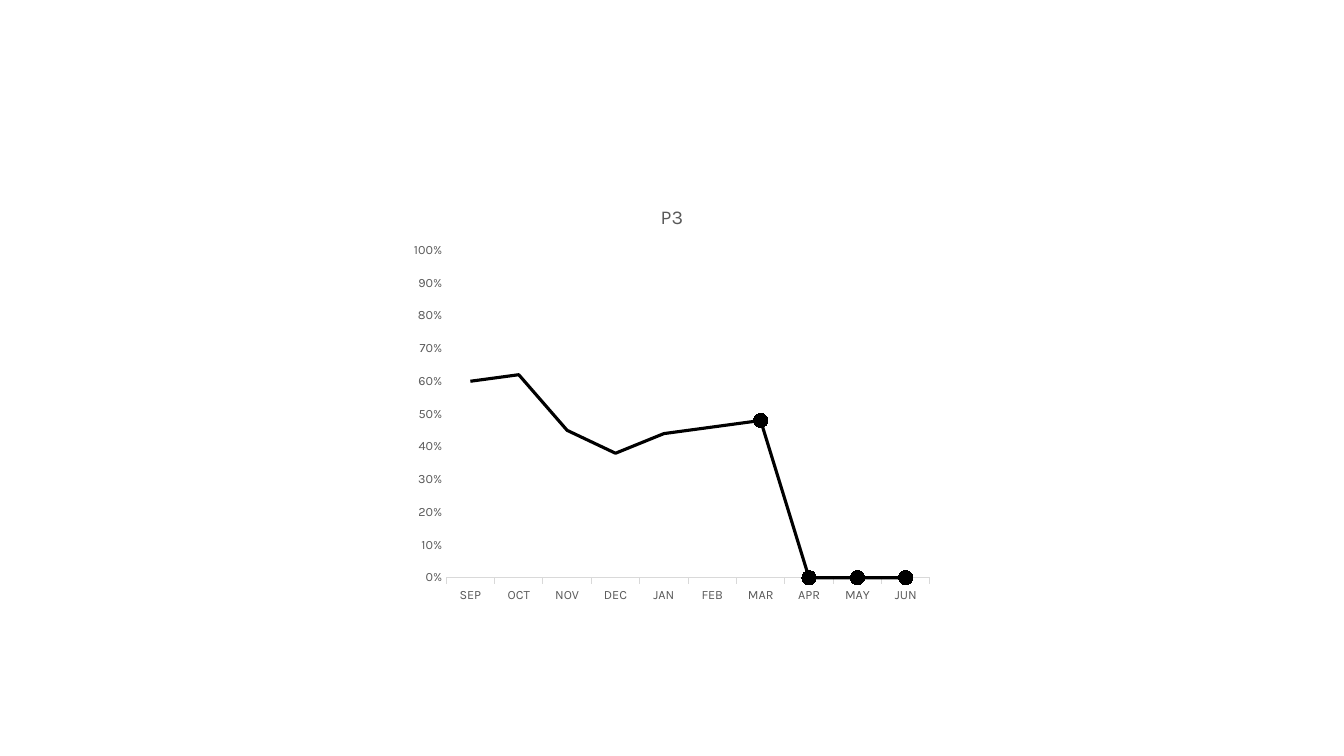
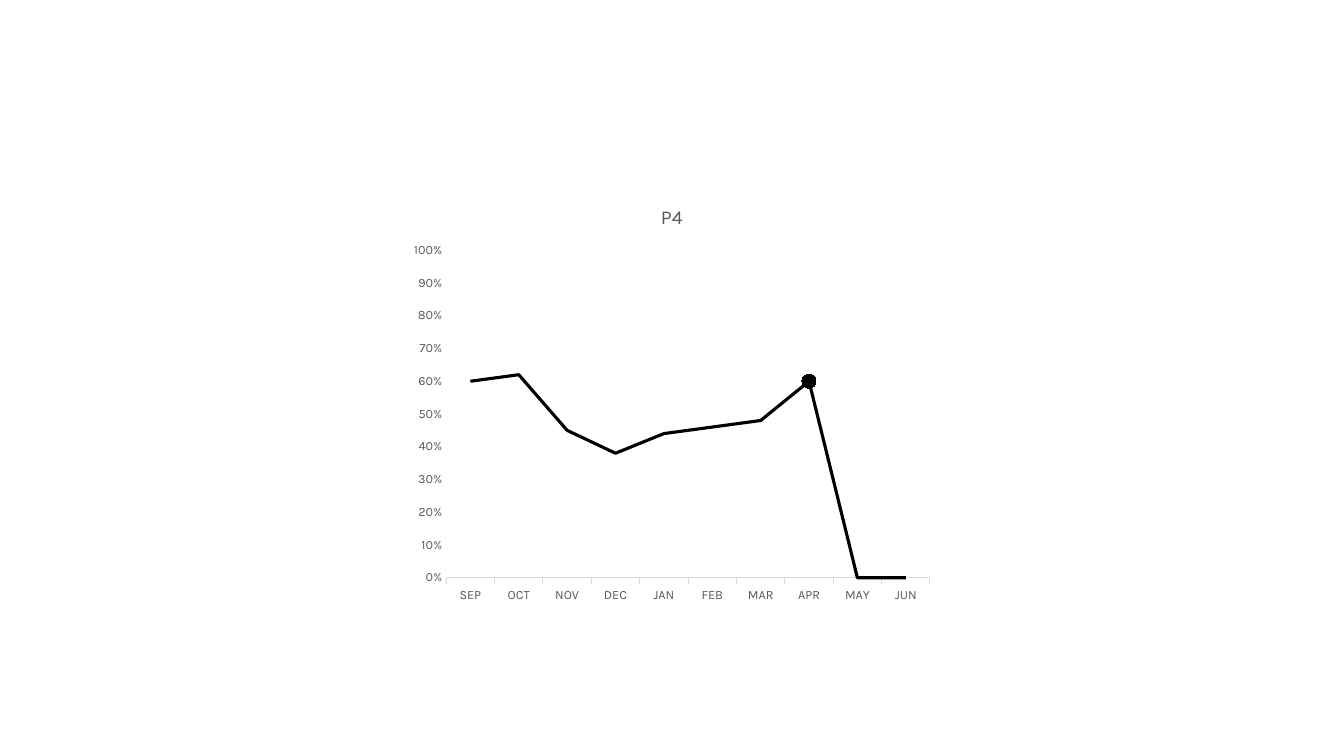
from lxml import etree
from pptx import Presentation
from pptx import util as u
from pptx.chart.data import CategoryChartData
from pptx.dml.color import RGBColor
from pptx.enum import chart as kinds
from pptx.oxml import ns

Pt = u.Pt
FONT, INK, GREY, RULE = "Karla", "000000", "595959", "D9D9D9"
MONTHS = ["SEP", "OCT", "NOV", "DEC", "JAN", "FEB", "MAR", "APR", "MAY", "JUN"]
RATES = [0.6, 0.62, 0.45, 0.38, 0.44, 0.46, 0.48, 0.6]
PERIODS = [
    {"title": "P3", "known": 7, "marked": ["MAR", "APR", "MAY", "JUN"]},
    {"title": "P4", "known": 8, "marked": ["APR"]},
]
CHART_BOX = (288, 133.2, 384, 303.84)
PLOT_BOX = {"x": 0.08, "y": 0.15, "w": 0.9, "h": 0.77}


def colour(value):
    return RGBColor.from_string(value)


def style_font(font, size, value):
    font.name, font.size, font.bold = FONT, Pt(size), False
    font.color.rgb = colour(value)


def style_line(line, width, value):
    line.width = Pt(width)
    line.color.rgb = colour(value)


def add_element(parent, tag, value=None):
    child = etree.SubElement(parent, ns.qn(tag))
    if value is not None:
        child.set("val", str(value))
    return child


def place_plot(chart):
    area = chart.plots[0]._element.getparent()
    for old in area.findall(ns.qn("c:layout")):
        area.remove(old)
    layout = etree.Element(ns.qn("c:layout"))
    area.insert(0, layout)
    manual = add_element(layout, "c:manualLayout")
    add_element(manual, "c:layoutTarget", "inner")
    for side in ("x", "y"):
        add_element(manual, f"c:{side}Mode", "edge")
    for side, share in PLOT_BOX.items():
        add_element(manual, f"c:{side}", share)


def style_axes(chart):
    months, rates = chart.category_axis, chart.value_axis
    for axis in (months, rates):
        style_font(axis.tick_labels.font, 9, GREY)
        axis.has_major_gridlines = False
        axis.minor_tick_mark = kinds.XL_TICK_MARK.NONE
    months.major_tick_mark = kinds.XL_TICK_MARK.OUTSIDE
    style_line(months.format.line, 0.75, RULE)
    rates.major_tick_mark = kinds.XL_TICK_MARK.NONE
    rates.format.line.fill.background()
    rates.minimum_scale, rates.maximum_scale, rates.major_unit = 0, 1, 0.1
    rates.tick_labels.number_format = "0%"
    rates.tick_labels.number_format_is_linked = False


def style_series(series, marked):
    series.smooth = False
    style_line(series.format.line, 2.25, INK)
    series.marker.style = kinds.XL_MARKER_STYLE.NONE
    for month in marked:
        point = series.points[MONTHS.index(month)]
        style_line(point.format.line, 2.25, INK)
        marker = point.marker
        marker.style, marker.size = kinds.XL_MARKER_STYLE.CIRCLE, 10
        marker.format.fill.solid()
        marker.format.fill.fore_color.rgb = colour(INK)
        style_line(marker.format.line, 0.75, INK)


def add_period(page, period):
    data = CategoryChartData(number_format="0%")
    data.categories = MONTHS
    known = RATES[:period["known"]]
    data.add_series(period["title"], known + [None] * (len(MONTHS) - len(known)))
    chart = page.shapes.add_chart(
        kinds.XL_CHART_TYPE.LINE_MARKERS, *map(Pt, CHART_BOX), data).chart
    style_font(chart.font, 10, INK)
    chart.has_legend = False
    chart.has_title = True
    title = chart.chart_title
    title.include_in_layout = False
    title.text_frame.text = period["title"]
    style_font(title.text_frame.paragraphs[0].font, 14, GREY)
    chart.plots[0].vary_by_categories = False
    style_axes(chart)
    style_series(chart.plots[0].series[0], period["marked"])
    place_plot(chart)
    blanks = chart._chartSpace.find(".//" + ns.qn("c:dispBlanksAs"))
    blanks.set("val", "zero")


deck = Presentation()
deck.slide_width, deck.slide_height = Pt(960), Pt(540)
for period in PERIODS:
    add_period(deck.slides.add_slide(deck.slide_layouts[6]), period)
deck.save("out.pptx")
